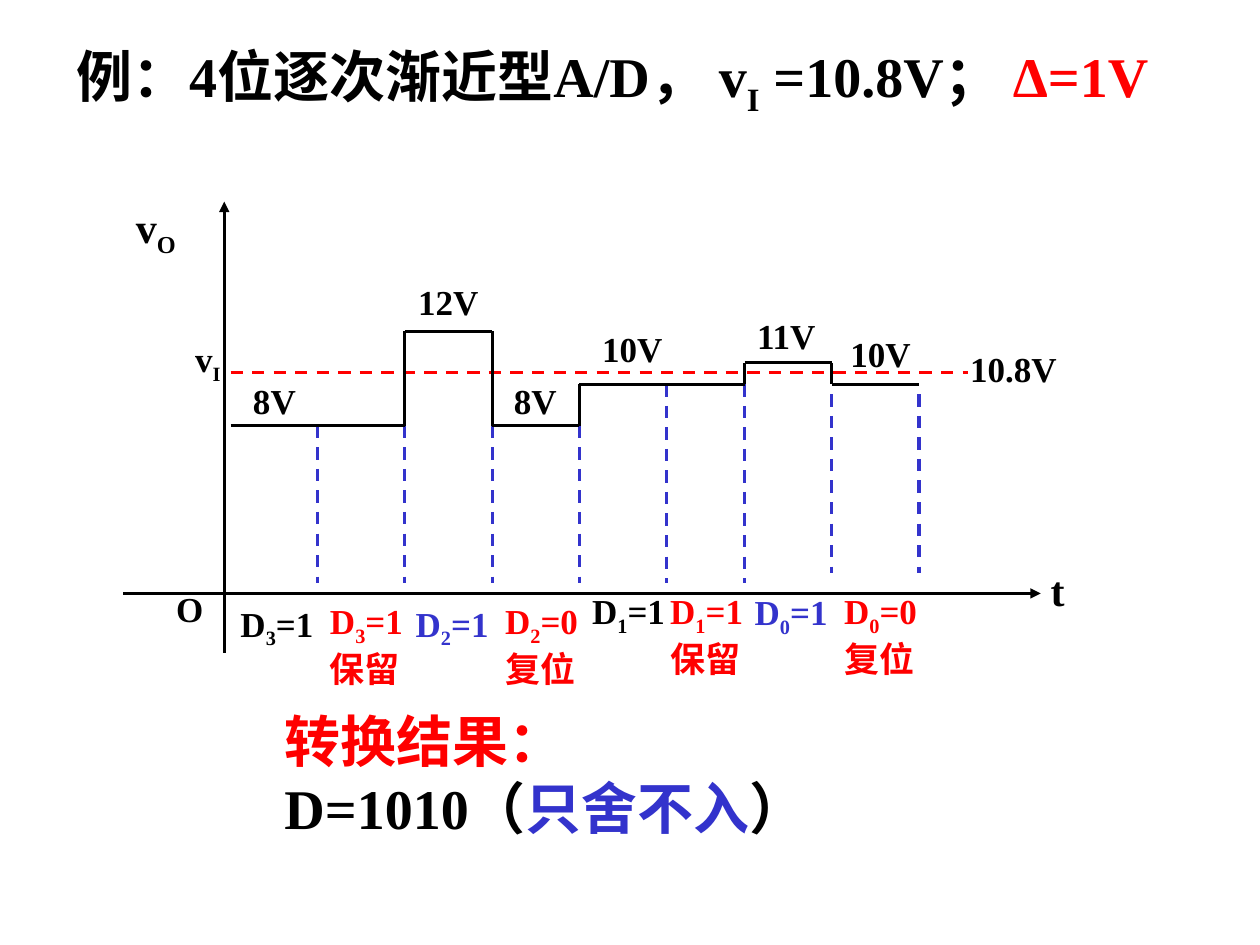
import lxml.etree
import pptx
import pptx.dml.color
import pptx.enum.dml
import pptx.enum.shapes
import pptx.enum.text
import pptx.oxml.ns
import pptx.util

COLORS = {"black": "000000", "red": "FF0000", "blue": "3333CC"}
FONT = "Times New Roman"
COLS, ROWS = 100, 75


def rgb(name):
    return pptx.dml.color.RGBColor.from_string(COLORS[name])


class SlideBuilder:
    """Draws on one slide; lengths are columns and rows of a 100 x 75 grid."""

    def __init__(self, prs):
        self.col = prs.slide_width / COLS
        self.row = prs.slide_height / ROWS
        self.s = prs.slides.add_slide(prs.slide_layouts[5])

    def grid(self, x, y):
        return round(x * self.col), round(y * self.row)

    def fill_text(self, sp, box, paragraphs, size, wrap):
        """Each paragraph is a list of (text, colour, is_subscript)."""
        sp.left, sp.top = self.grid(*box[:2])
        sp.width, sp.height = self.grid(*box[2:])
        tf = sp.text_frame
        frame = {"word_wrap": wrap,
                 "auto_size": pptx.enum.text.MSO_AUTO_SIZE.NONE,
                 "vertical_anchor": pptx.enum.text.MSO_ANCHOR.TOP}
        for key, value in frame.items():
            setattr(tf, key, value)
        for i, runs in enumerate(paragraphs):
            p = tf.paragraphs[0] if i == 0 else tf.add_paragraph()
            p.alignment = pptx.enum.text.PP_ALIGN.LEFT
            for text, color, sub in runs:
                r = p.add_run()
                r.text = text
                style = {"name": FONT, "size": pptx.util.Pt(size), "bold": True}
                for key, value in style.items():
                    setattr(r.font, key, value)
                r.font.color.rgb = rgb(color)
                if sub:
                    r.font._element.set("baseline", "-25000")

    def title(self, box, runs, size):
        self.fill_text(self.s.shapes.title, box, [runs], size, True)

    def text(self, box, paragraphs, size=20, wrap=False):
        sp = self.s.shapes.add_textbox(0, 0, 0, 0)
        self.fill_text(sp, box, paragraphs, size, wrap)

    def line(self, start, end, color="black", dash=False, arrow=False):
        sp = self.s.shapes.add_connector(
            pptx.enum.shapes.MSO_CONNECTOR.STRAIGHT,
            *self.grid(*start), *self.grid(*end))
        sp.line.width = pptx.util.Pt(1.75)
        sp.line.color.rgb = rgb(color)
        if dash:
            sp.line.dash_style = pptx.enum.dml.MSO_LINE.DASH
        qn = pptx.oxml.ns.qn
        if arrow:
            ln = sp.line._get_or_add_ln()
            lxml.etree.SubElement(ln, qn("a:tailEnd"), type="triangle")
        lxml.etree.SubElement(sp._element.spPr, qn("a:effectLst"))


def main():
    prs = pptx.Presentation()
    prs.slide_width = pptx.util.Inches(10)
    prs.slide_height = pptx.util.Inches(7.5)
    b = SlideBuilder(prs)

    # Title
    b.title((5.1, 2.8, 89.8, 6.3),
            [("例：4位逐次渐近型A/D， v", "black", False), ("I", "black", True),
             (" =10.8V； ", "black", False), ("Δ=1V", "red", False)], 32)

    # Axes and their names
    b.line((17.8, 51.8), (17.8, 16), arrow=True)
    b.line((9.8, 47.1), (82.6, 47.1), arrow=True)
    b.text((13, 46.1, 4.2, 4.4), [[("O", "black", False)]])
    b.text((9.8, 15.5, 5.4, 5),
           [[("v", "black", False), ("O", "black", True)]], 24)
    b.text((82.4, 44.3, 3.1, 5), [[("t", "black", False)]], 24)

    # Input voltage
    b.line((18.3, 29.6), (76.8, 29.6), "red", dash=True)
    b.text((76, 27.1, 8.9, 4.3), [[("10.8V", "black", False)]])
    b.text((14.5, 26.3, 4.1, 4.3),
           [[("v", "black", False), ("I", "black", True)]])

    # Clock edges: two runs of equal steps
    step = 6.92
    edges = [18.3 + step * i for i in range(6)] + [59.1 + step * i for i in range(3)]
    level = {8: 33.8, 10: 30.5, 11: 28.8, 12: 26.3}
    for i, x in enumerate(edges[1:]):
        top, bottom = ((level[8], 46.3) if i < 4 else
                       (level[10], 46.3) if i < 6 else (31.3, 45.5))
        b.line((x, top), (x, bottom), "blue", dash=True)

    # Output staircase: volts in each step, with a riser where they change
    volts = [8, 8, 12, 8, 10, 10, 11, 10]
    for i, v in enumerate(volts):
        x = edges[i]
        b.line((x, level[v]), (edges[i + 1], level[v]))
        if i and volts[i - 1] != v:
            b.line((x, level[volts[i - 1]]), (x, level[v]))

    # Voltage labels
    for v, x, y in [(8, 19.1, 29.6), (12, 32.2, 21.8), (8, 39.8, 29.6),
                    (10, 46.8, 25.5), (11, 59.1, 24.5), (10, 66.5, 25.9)]:
        b.text((x, y, 5.4 if v < 10 else 6.8, 4.3),
               [[(f"{v}V", "black", False)]])

    # Bit trials and decisions
    for bit, value, color, note, x, y in [
            (3, 1, "black", "", 18.1, 47.3), (3, 1, "red", "保留", 25.2, 47.1),
            (2, 1, "blue", "", 32, 47.3), (2, 0, "red", "复位", 39.1, 47.1),
            (1, 1, "black", "", 46, 46.3), (1, 1, "red", "保留", 52.2, 46.3),
            (0, 1, "blue", "", 58.9, 46.4), (0, 0, "red", "复位", 66, 46.3)]:
        lines = [[("D", color, False), (str(bit), color, True),
                  (f"={value}", color, False)]]
        if note:
            lines.append([(note, color, False)])
        b.text((x, y, 7.9, 7.7 if note else 4.3), lines)

    # Result
    b.text((21.6, 55.6, 43.4, 11.7),
           [[("转换结果：", "red", False)],
            [("D=1010（", "black", False), ("只舍不入", "blue", False),
             ("）", "black", False)]], 32, wrap=True)

    prs.save("out.pptx")


if __name__ == "__main__":
    main()
